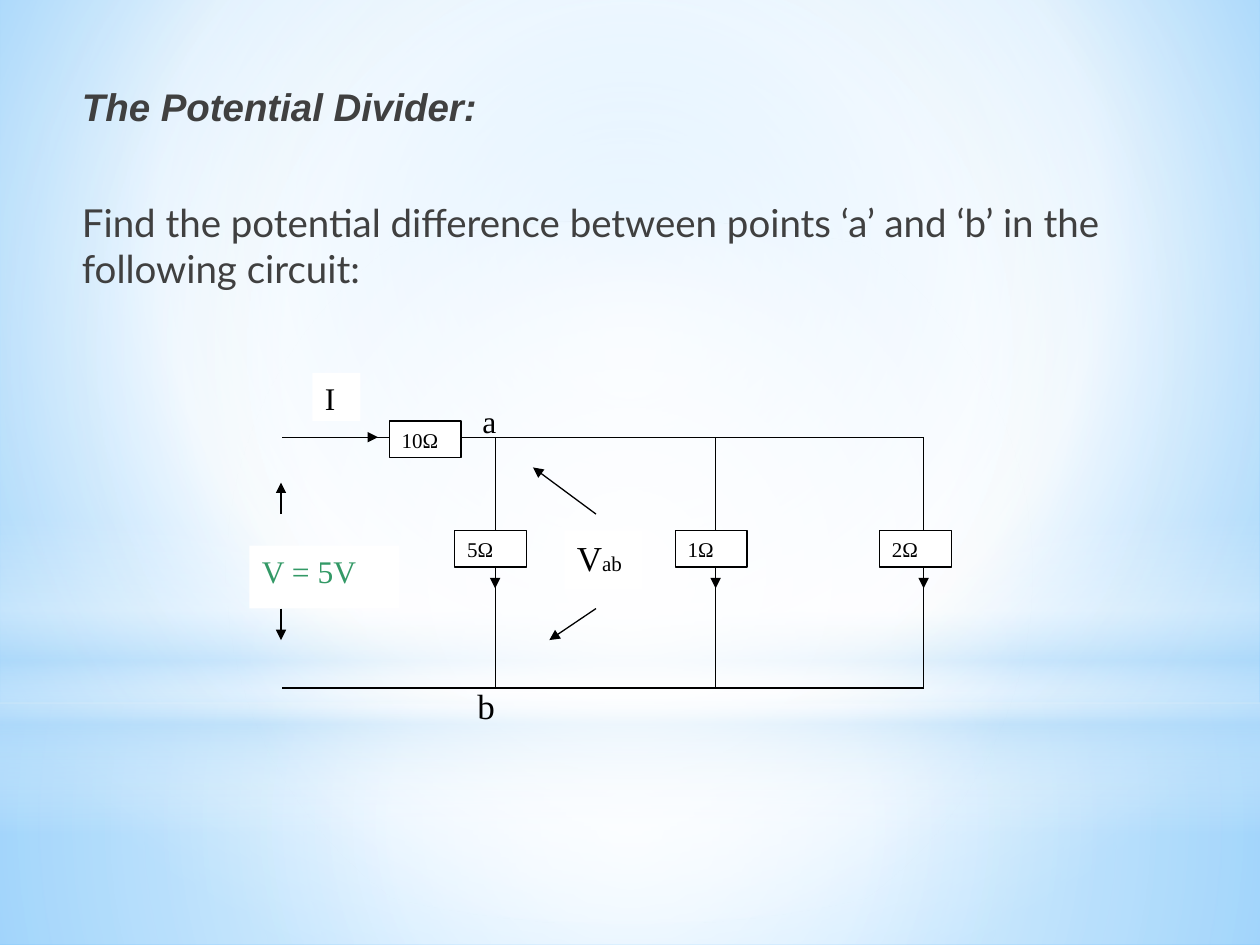
"""Build a slide that asks for the potential difference in a divider circuit."""
from pptx import Presentation
from pptx.dml.color import RGBColor
from pptx.enum.shapes import MSO_CONNECTOR, MSO_SHAPE
from pptx.enum.text import MSO_ANCHOR, PP_ALIGN
from pptx.oxml import parse_xml
from pptx.oxml.ns import nsdecls, qn
from pptx.util import Inches, Pt

RECT, OVAL = MSO_SHAPE.RECTANGLE, MSO_SHAPE.OVAL
STRAIGHT = MSO_CONNECTOR.STRAIGHT
TOP, LEFT = MSO_ANCHOR.TOP, PP_ALIGN.LEFT

THEME = {
    "ink": "000000", "paper": "FFFFFF", "text": "404040", "source": "339966",
    "title_font": "Arial", "body_font": "Lato", "circuit_font": "Times New Roman",
    "heading": 22, "small": 12, "label": 18, "large": 20, "line": 0.75,
}

TITLE = "The Potential Divider:"
QUESTION = "Find the potential difference between points ‘a’ and ‘b’ in the following circuit:"

CENTRE = '<a:path path="circle"><a:fillToRect l="50000" t="50000" r="50000" b="50000"/></a:path>'
UPPER = '<a:path path="circle"><a:fillToRect l="20000" t="10000" r="20000" b="60000"/></a:path>'
DOWN = '<a:lin ang="5400000" scaled="0"/>'
BACKGROUND = [(0, "9ED5FF", 100), (60, "FFFFFF", 100), (100, "5BB9FF", 100)]
GLOWS = [
    (RECT, (0, 5.58, 10, 1.92), CENTRE,
     [(0, "FFFFFF", 91), (37, "FFFFFF", 76), (100, "B4DCFA", 79)]),
    (RECT, (0, 0, 10, 5.58), CENTRE,
     [(0, "FFFFFF", 89), (48, "FFFFFF", 62), (100, "B4DCFA", 79)]),
    (RECT, (0, 4.12, 10, 2.5), DOWN,
     [(0, "FFFFFF", 0), (29, "FFFFFF", 30), (45, "B4DCFA", 40),
      (55, "FFFFFF", 26), (65, "B4DCFA", 60), (100, "FFFFFF", 0)]),
    (OVAL, (0, 1.75, 10, 5.58), CENTRE, [(0, "FFFFFF", 100), (56, "FFFFFF", 0)]),
]

RAIL_LEFT, RAIL_TOP, RAIL_BOTTOM = 2.24, 3.47, 5.46
RESISTOR_SIZE = (0.57, 0.29)
SERIES_RESISTOR = ("10Ω", 3.09, 3.34)
BRANCH_BOX_TOP = 4.21
BRANCHES = [("5Ω", 3.93, 3.61), ("1Ω", 5.68, 5.36), ("2Ω", 7.33, 6.98)]
ARROWS = [
    (2.77, RAIL_TOP, 3, RAIL_TOP),
    (2.23, 4.83, 2.23, 5.08), (2.23, 4.08, 2.23, 3.83),
    (4.73, 4.08, 4.23, 3.71), (4.73, 4.83, 4.36, 5.08),
]
LABELS = [
    ([("V = 5V", "label")], (1.98, 4.33, 1.19, 0.5), "source", True),
    ([("I", "label")], (2.48, 2.96, 0.38, 0.38), "ink", True),
    ([("V", "large"), ("ab", "small")], (4.48, 4.21, 0.62, 0.47), "ink", True),
    ([("a", "label")], (3.73, 3.14, 0.41, 0.43), "ink", False),
    ([("b", "large")], (3.69, 5.38, 0.41, 0.43), "ink", False),
]


def rgb(role):
    return RGBColor.from_string(THEME[role])


def set_gradient(fill, parent, stops, direction):
    fill.background()
    stop_xml = "".join(
        f'<a:gs pos="{pos * 1000}"><a:srgbClr val="{color}">'
        f'<a:alpha val="{alpha * 1000}"/></a:srgbClr></a:gs>'
        for pos, color, alpha in stops)
    gradient = parse_xml(f'<a:gradFill {nsdecls("a")} rotWithShape="1">'
                         f'<a:gsLst>{stop_xml}</a:gsLst>{direction}</a:gradFill>')
    parent.replace(parent.find(qn("a:noFill")), gradient)


def add_glow(slide, kind, box, direction, stops):
    glow = slide.shapes.add_shape(kind, *map(Inches, box))
    glow.shadow.inherit = False
    glow.line.fill.background()
    set_gradient(glow.fill, glow.element.spPr, stops, direction)


def style(run, font, size, color):
    run.font.name = THEME[font]
    run.font.size = Pt(THEME[size])
    run.font.color.rgb = rgb(color)


def set_heading(shape, text, box, font, emphasis):
    shape.left, shape.top, shape.width, shape.height = map(Inches, box)
    frame = shape.text_frame
    frame.text = text
    frame.word_wrap = True
    frame.vertical_anchor = TOP
    frame.margin_left = frame.margin_right = frame.margin_top = frame.margin_bottom = 0
    paragraph = frame.paragraphs[0]
    paragraph.alignment = LEFT
    run = paragraph.runs[0]
    style(run, font, "heading", "text")
    run.font.bold = run.font.italic = emphasis


def add_wire(slide, x1, y1, x2, y2, arrow=False):
    wire = slide.shapes.add_connector(STRAIGHT, *map(Inches, (x1, y1, x2, y2)))
    wire.line.color.rgb = rgb("ink")
    wire.line.width = Pt(THEME["line"])
    if arrow:
        wire.line._get_or_add_ln().append(
            parse_xml(f'<a:tailEnd {nsdecls("a")} type="triangle"/>'))
    wire.element.spPr.append(parse_xml(f'<a:effectLst {nsdecls("a")}/>'))


def add_label(slide, parts, box, color="ink", filled=True, outlined=False):
    if filled:
        label = slide.shapes.add_shape(RECT, *map(Inches, box))
        label.shadow.inherit = False
        label.fill.solid()
        label.fill.fore_color.rgb = rgb("paper")
        if outlined:
            label.line.color.rgb = rgb("ink")
            label.line.width = Pt(THEME["line"])
        else:
            label.line.fill.background()
    else:
        label = slide.shapes.add_textbox(*map(Inches, box))
    frame = label.text_frame
    frame.word_wrap = True
    frame.vertical_anchor = TOP
    paragraph = frame.paragraphs[0]
    paragraph.alignment = LEFT
    for text, size in parts:
        run = paragraph.add_run()
        run.text = text
        style(run, "circuit_font", size, color)


def add_resistor(slide, value, left, top):
    add_label(slide, [(value, "small")], (left, top, *RESISTOR_SIZE), outlined=True)


def add_circuit(slide):
    rail_right = BRANCHES[-1][1]
    for y in (RAIL_TOP, RAIL_BOTTOM):
        add_wire(slide, RAIL_LEFT, y, rail_right, y)
    for value, x, box_left in BRANCHES:
        add_wire(slide, x, RAIL_TOP, x, RAIL_BOTTOM)
        add_wire(slide, x, 4.37, x, 4.67, arrow=True)
        add_resistor(slide, value, box_left, BRANCH_BOX_TOP)
    add_resistor(slide, *SERIES_RESISTOR)
    for label in LABELS:
        add_label(slide, *label)
    for ends in ARROWS:
        add_wire(slide, *ends, arrow=True)


def main():
    deck = Presentation()
    deck.slide_width, deck.slide_height = Inches(10), Inches(7.5)
    slide = deck.slides.add_slide(deck.slide_layouts[5])
    backdrop = slide.background.fill
    set_gradient(backdrop, slide.element.find(".//" + qn("p:bgPr")), BACKGROUND, UPPER)
    for glow in GLOWS:
        add_glow(slide, *glow)
    title = slide.shapes.title
    slide.shapes._spTree.append(title.element)
    set_heading(title, TITLE, (0.65, 0.66, 8.92, 0.4), "title_font", True)
    question = slide.shapes.add_textbox(0, 0, 0, 0)
    set_heading(question, QUESTION, (0.65, 1.58, 8.92, 0.8), "body_font", False)
    add_circuit(slide)
    deck.save("out.pptx")


if __name__ == "__main__":
    main()
